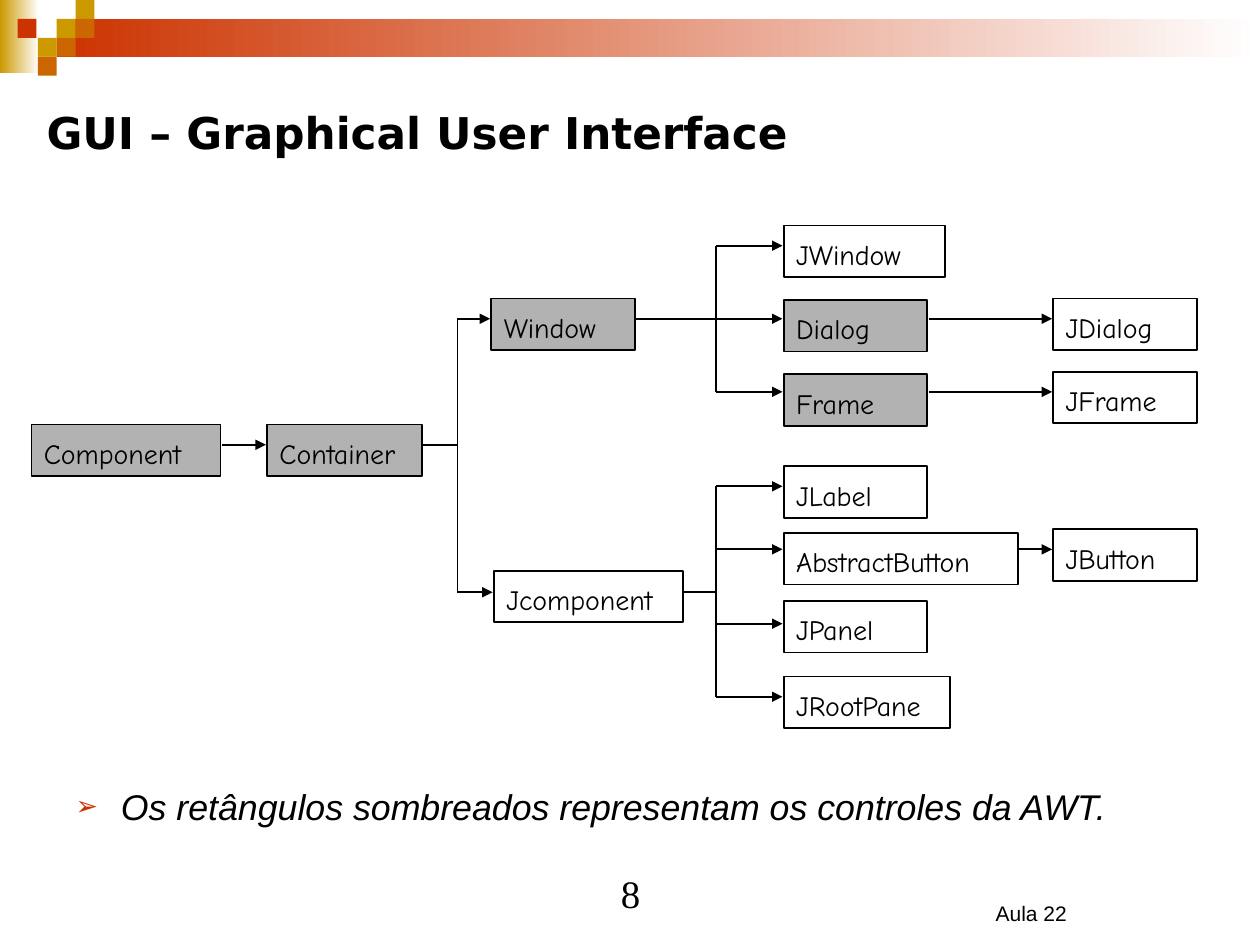
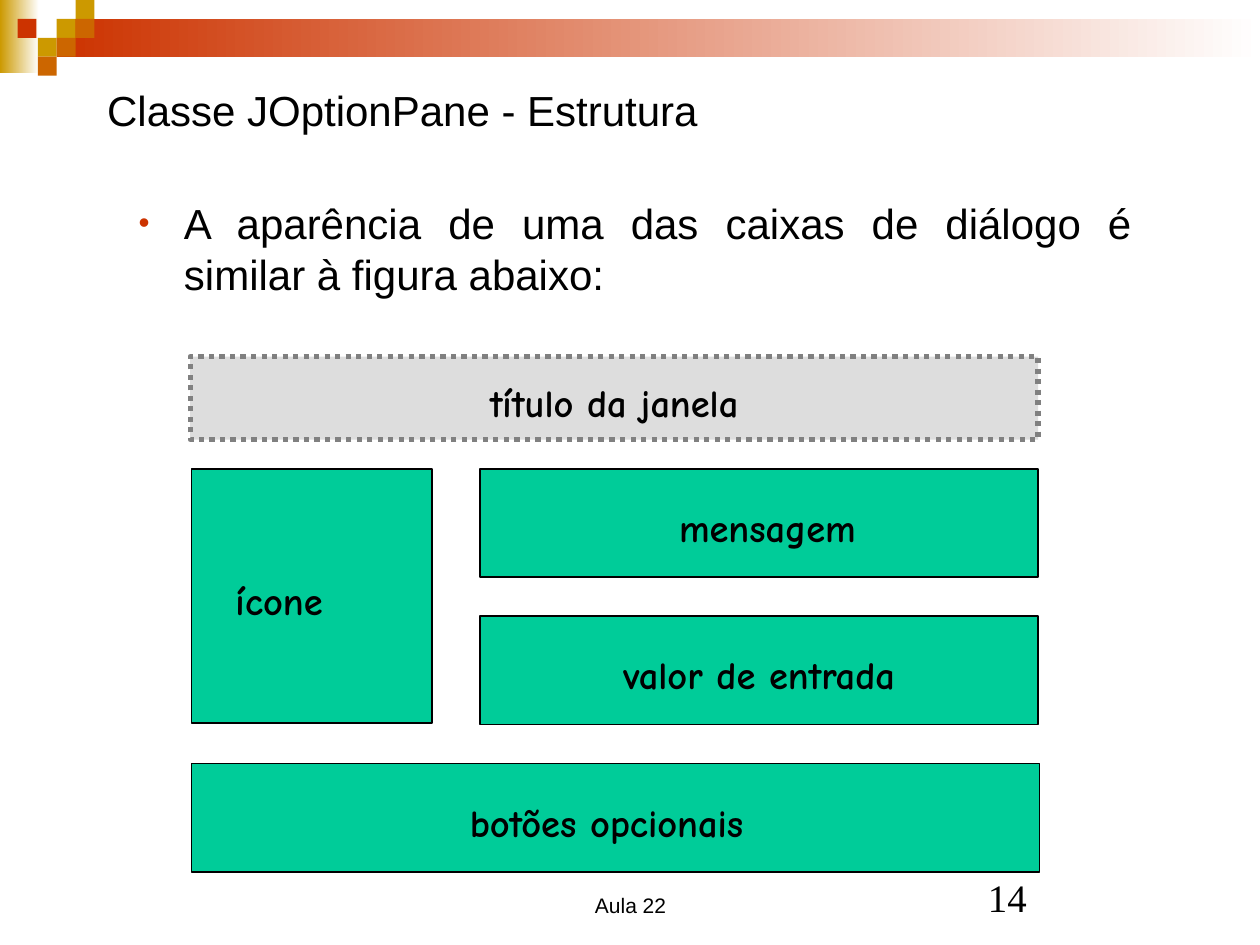
from dataclasses import dataclass

from lxml.etree import SubElement
from pptx import Presentation
from pptx.dml.color import RGBColor
from pptx.enum.dml import MSO_LINE
from pptx.enum.shapes import MSO_CONNECTOR, MSO_SHAPE
from pptx.enum.text import MSO_ANCHOR, MSO_AUTO_SIZE, PP_ALIGN
from pptx.oxml.ns import qn
from pptx.util import Inches, Pt


@dataclass(frozen=True)
class Theme:
    black: str = "000000"
    white: str = "FFFFFF"
    gold: str = "CC9900"
    red: str = "CC3300"
    orange: str = "CC6600"
    shaded: str = "B2B2B2"
    green: str = "00CC99"
    pale: str = "DDDDDD"
    grey: str = "808080"
    sans: str = "Arial"
    heading: str = "DejaVu Sans"
    comic: str = "Comic Neue"
    serif: str = "Times New Roman"
    heading_size: float = 25
    title_size: float = 24
    note_size: float = 20.4
    page_size: float = 22.2
    footer_size: float = 12
    class_size: float = 16
    pane_size: float = 22
    comic_spacing: float = 1.17


THEME = Theme()
COLUMNS, ROWS = 100, 75
UNIT = Inches(0.1)


@dataclass(frozen=True)
class Box:
    col: float
    row: float
    cols: float
    rows: float

    def area(self, col, row, cols, rows):
        return Box(self.col + col, self.row + row, cols, rows)

    def point(self, col, row):
        return int((self.col + col) * UNIT), int((self.row + row) * UNIT)

    def emu(self):
        return [int(n * UNIT) for n in (self.col, self.row, self.cols, self.rows)]


PAGE = Box(0, 0, COLUMNS, ROWS)


@dataclass(frozen=True)
class ClassNode:
    name: str
    col: float
    row: float
    cols: float
    shaded: bool = False
    source_col: float = None
    entry_row: float = None


LEAF, SUBCLASS = 59.7, 81.1
FIRST_TRUNK, SECOND_TRUNK = 33.8, 54.3
CLASSES = [
    ClassNode("Component", 0, 15.8, 15, True),
    ClassNode("Container", 18.7, 15.8, 12.3, True, 15.1, 17.4),
    ClassNode("Window", 36.5, 5.8, 11.4, True, FIRST_TRUNK, 7.4),
    ClassNode("Jcomponent", 36.7, 27.4, 15, False, FIRST_TRUNK, 29.1),
    ClassNode("JWindow", LEAF, 0, 12.8, False, SECOND_TRUNK, 1.6),
    ClassNode("Dialog", LEAF, 5.9, 11.4, True, 48, 7.4),
    ClassNode("Frame", LEAF, 11.8, 11.4, True, SECOND_TRUNK, 13.2),
    ClassNode("JLabel", LEAF, 19.1, 11.4, False, SECOND_TRUNK, 20.7),
    ClassNode("AbstractButton", LEAF, 24.4, 18.6, False, SECOND_TRUNK, 25.7),
    ClassNode("JPanel", LEAF, 29.8, 11.4, False, SECOND_TRUNK, 31.6),
    ClassNode("JRootPane", LEAF, 35.8, 13.2, False, SECOND_TRUNK, 37.4),
    ClassNode("JDialog", SUBCLASS, 5.8, 11.4, False, 71.2, 7.4),
    ClassNode("JFrame", SUBCLASS, 11.6, 11.4, False, 71.2, 13.2),
    ClassNode("JButton", SUBCLASS, 24.1, 11.4, False, 78.3, 25.7),
]
BRANCHES = [
    ((FIRST_TRUNK, 7.4), (FIRST_TRUNK, 29.1)),
    ((SECOND_TRUNK, 1.6), (SECOND_TRUNK, 13.2)),
    ((SECOND_TRUNK, 20.7), (SECOND_TRUNK, 37.4)),
    ((31.1, 17.4), (FIRST_TRUNK, 17.4)),
    ((51.7, 29.1), (SECOND_TRUNK, 29.1)),
]


def rgb(color):
    return RGBColor.from_string(color)


def write(holder, text, font, size, align=PP_ALIGN.LEFT, anchor=MSO_ANCHOR.TOP,
          spacing=1.0, bold=False, italic=False, bullet=None, top_inset=0.05,
          side_insets=(0.1, 0.1)):
    frame = holder.text_frame
    frame.word_wrap = True
    frame.auto_size = MSO_AUTO_SIZE.NONE
    frame.vertical_anchor = anchor
    frame.margin_left, frame.margin_right = map(Inches, side_insets)
    frame.margin_top, frame.margin_bottom = Inches(top_inset), Inches(0.05)
    paragraph = frame.paragraphs[0]
    paragraph.text = text
    if bullet:
        add_bullet(paragraph, bullet)
    paragraph.alignment = align
    paragraph.line_spacing = spacing
    paragraph.space_before = Pt(0)
    paragraph.font.name = font
    paragraph.font.size = Pt(size)
    paragraph.font.bold = bold
    paragraph.font.italic = italic
    paragraph.font.color.rgb = rgb(THEME.black)


def add_bullet(paragraph, symbol):
    properties = paragraph._p.get_or_add_pPr()
    properties.set("marL", str(Inches(0.36)))
    properties.set("indent", str(-Inches(0.36)))
    color = SubElement(properties, qn("a:buClr"))
    SubElement(color, qn("a:srgbClr"), val=THEME.red)
    SubElement(properties, qn("a:buSzPct"), val="75000")
    SubElement(properties, qn("a:buChar"), char=symbol)


def place(holder, box):
    holder.left, holder.top, holder.width, holder.height = box.emu()
    return holder


def add_rectangle(slide, box, fill=None, line=None, width=1):
    rectangle = slide.shapes.add_shape(MSO_SHAPE.RECTANGLE, *box.emu())
    rectangle.shadow.inherit = False
    if fill:
        rectangle.fill.solid()
        rectangle.fill.fore_color.rgb = rgb(fill)
    else:
        rectangle.fill.background()
    if line:
        rectangle.line.color.rgb = rgb(line)
        rectangle.line.width = Pt(width)
    else:
        rectangle.line.fill.background()
    return rectangle


def add_fading_band(slide, box, color):
    fill = add_rectangle(slide, box).fill
    fill.gradient()
    fill.gradient_angle = 0
    for stop, shade in zip(fill.gradient_stops, (color, THEME.white)):
        stop.color.rgb = rgb(shade)


def add_line(slide, start, end, arrow=False):
    line = slide.shapes.add_connector(MSO_CONNECTOR.STRAIGHT, *start, *end)
    line.line.color.rgb = rgb(THEME.black)
    line.line.width = Pt(1)
    if arrow:
        outline = line._element.spPr.find(qn("a:ln"))
        SubElement(outline, qn("a:tailEnd"), type="triangle")
    SubElement(line._element.spPr, qn("a:effectLst"))


def add_header(slide, box):
    add_fading_band(slide, box.area(0, 0, 3.1, 5.8), THEME.gold)
    add_fading_band(slide, box.area(4.5, 1.5, 95.5, 3), THEME.red)
    side = 1.5
    mosaic = [(3, 1, THEME.gold), (4, 0, THEME.gold), (4, 1, THEME.orange),
              (2, 2, THEME.gold), (0.93, 1, THEME.red), (3, 2, THEME.orange),
              (2, 3, THEME.orange)]
    for col, row, color in mosaic:
        add_rectangle(slide, box.area(col * side, row * side, side, side), color)


def add_footer(slide, lesson_box, page_box, page):
    for box, text, font, size, spacing in (
        (page_box, page, THEME.serif, THEME.page_size, 0.9),
        (lesson_box, "Aula 22", THEME.sans, THEME.footer_size, 1.0),
    ):
        write(slide.shapes.add_textbox(*box.emu()), text, font, size,
              PP_ALIGN.CENTER, MSO_ANCHOR.BOTTOM, spacing)


def add_hierarchy(slide, box):
    for node in CLASSES:
        label = add_rectangle(slide, box.area(node.col, node.row, node.cols, 4.1),
                              THEME.shaded if node.shaded else None, THEME.black)
        write(label, node.name, THEME.comic, THEME.class_size,
              spacing=THEME.comic_spacing)
        if node.source_col is not None:
            add_line(slide, box.point(node.source_col, node.entry_row),
                     box.point(node.col - 0.1, node.entry_row), arrow=True)
    for start, end in BRANCHES:
        add_line(slide, box.point(*start), box.point(*end))


def add_dialog_layout(slide, box):
    left, center = PP_ALIGN.LEFT, PP_ALIGN.CENTER
    pane_rows, message_col = 8.6, 23
    message_cols = box.cols - message_col
    panes = [
        ("mensagem", (message_col, 8.9, message_cols, pane_rows), center, (0.23, 0.1)),
        ("valor de entrada", (message_col, 20.6, message_cols, pane_rows), center, (0.1, 0.1)),
        ("ícone", (0.1, 8.9, 19.1, 20.2), left, (0.35, 0.1)),
        ("botões opcionais", (0.1, 32.3, box.cols, pane_rows), center, (0.1, 0.24)),
        ("título da janela", (0, 0, box.cols, 6.6), center, (0.1, 0.1)),
    ]
    for text, cells, align, insets in panes:
        pane = add_rectangle(slide, box.area(*cells), THEME.green, THEME.black)
        write(pane, text, THEME.comic, THEME.pane_size, align, MSO_ANCHOR.MIDDLE,
              THEME.comic_spacing, bold=True, side_insets=insets)
    pane.fill.fore_color.rgb = rgb(THEME.pale)
    pane.line.color.rgb = rgb(THEME.grey)
    pane.line.width = Pt(3)
    pane.line.dash_style = MSO_LINE.ROUND_DOT


def start_slide(deck):
    slide = deck.slides.add_slide(deck.slide_layouts[1])
    add_header(slide, PAGE)
    return slide, slide.shapes.title, slide.placeholders[1]


def build_hierarchy_slide(deck):
    slide, title, note = start_slide(deck)
    write(place(title, PAGE.area(2.7, 7.9, 79.1, 5.2)),
          "GUI – Graphical User Interface", THEME.heading, THEME.heading_size, bold=True)
    write(place(note, PAGE.area(5, 61.7, 90, 5)),
          "Os retângulos sombreados representam os controles da AWT.",
          THEME.sans, THEME.note_size, italic=True, bullet="➢", top_inset=0.06)
    add_hierarchy(slide, PAGE.area(2.5, 17.9, 92.5, 39.9))
    add_footer(slide, PAGE.area(66, 69, 31.7, 5), PAGE.area(34.2, 68.3, 31.7, 5), "8")


def build_dialog_slide(deck):
    slide, title, intro = start_slide(deck)
    write(place(title, PAGE.area(7.5, 4.7, 85, 8)),
          "Classe JOptionPane - Estrutura", THEME.sans, THEME.title_size,
          anchor=MSO_ANCHOR.MIDDLE)
    write(place(intro, PAGE.area(10, 15, 80.8, 11.7)),
          "A aparência de uma das caixas de diálogo é similar à figura abaixo:",
          THEME.sans, THEME.title_size, PP_ALIGN.JUSTIFY, bullet="•", top_inset=0.07)
    add_dialog_layout(slide, PAGE.area(15.1, 28.3, 67.3, 40.9))
    add_footer(slide, PAGE.area(34.2, 68.3, 31.7, 5), PAGE.area(64.1, 68.6, 31.7, 5), "14")


def main():
    deck = Presentation()
    deck.slide_width, deck.slide_height = COLUMNS * UNIT, ROWS * UNIT
    build_hierarchy_slide(deck)
    build_dialog_slide(deck)
    deck.save("out.pptx")


if __name__ == "__main__":
    main()
